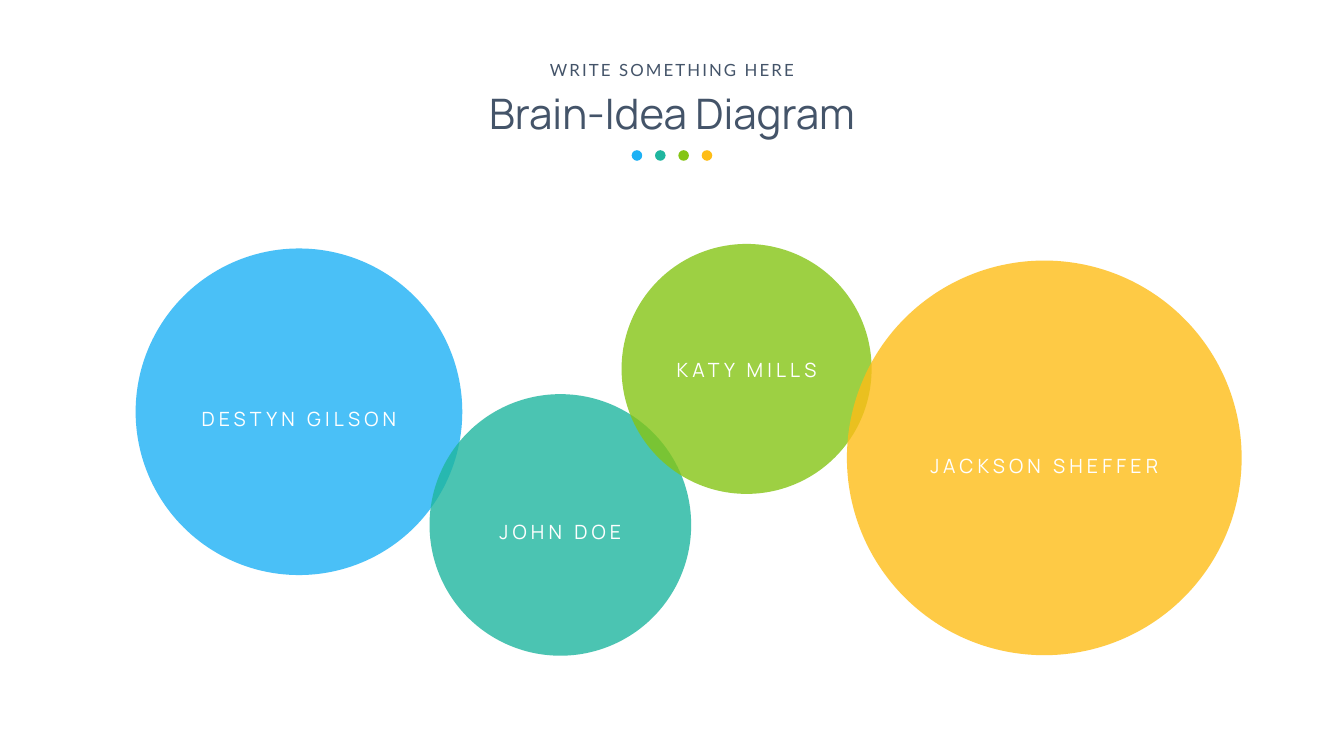
from typing import NamedTuple

from lxml.etree import SubElement
from pptx import Presentation
from pptx.dml.color import RGBColor
from pptx.enum.shapes import MSO_SHAPE
from pptx.enum.text import MSO_ANCHOR, PP_ALIGN
from pptx.oxml.ns import qn
from pptx.util import Inches, Pt

BLUE = RGBColor(0x1D, 0xB1, 0xF5)
TEAL = RGBColor(0x1F, 0xB6, 0x9F)
GREEN = RGBColor(0x85, 0xC5, 0x15)
YELLOW = RGBColor(0xFE, 0xBD, 0x17)
SLATE = RGBColor(0x44, 0x54, 0x69)
WHITE = RGBColor(0xFF, 0xFF, 0xFF)

TITLE_FORMAT = {"name": "Manrope", "size": Pt(60)}
SUBTITLE_FORMAT = {"name": "Lato", "size": Pt(24)}
LABEL_FORMAT = {"name": "Manrope", "size": Pt(28)}

DOT_LEFT, DOT_TOP, DOT_SIZE, DOT_PITCH = 12.53, 2.98, 0.21, 0.463
LABEL_HEIGHT = 0.57


class Bubble(NamedTuple):
    name: str
    left: float
    top: float
    diameter: float
    color: RGBColor
    label_top: float
    label_width: float


BUBBLES = [
    Bubble("DESTYN GILSON", 2.69, 4.93, 6.48, BLUE, 8.02, 4.27),
    Bubble("JOHN DOE", 8.52, 7.82, 5.19, TEAL, 10.26, 2.86),
    Bubble("KATY MILLS", 12.33, 4.84, 4.96, GREEN, 7.04, 3.16),
    Bubble("JACKSON SHEFFER", 16.8, 5.17, 7.83, YELLOW, 8.96, 5.02),
]


def draw_circle(page, left: float, top: float, diameter: float,
                color: RGBColor, opacity: int = 100) -> None:
    circle = page.shapes.add_shape(MSO_SHAPE.OVAL, Inches(left), Inches(top),
                                   Inches(diameter), Inches(diameter))
    circle.shadow.inherit = False
    circle.line.fill.background()
    circle.fill.solid()
    circle.fill.fore_color.rgb = color
    if opacity < 100:
        color_node = circle.fill._xPr.find(qn("a:solidFill"))[0]
        SubElement(color_node, qn("a:alpha"), val=str(opacity * 1000))


def write_line(box, text: str, font_format: dict, color: RGBColor,
               spacing: int = 0, wrap: bool = False) -> None:
    """Put one centred line in the box; spacing is in points between letters."""
    frame = box.text_frame
    frame.word_wrap = wrap
    frame.vertical_anchor = MSO_ANCHOR.MIDDLE
    para = frame.paragraphs[0]
    para.alignment = PP_ALIGN.CENTER
    span = para.add_run()
    span.text = text
    for attribute, value in font_format.items():
        setattr(span.font, attribute, value)
    span.font.color.rgb = color
    if spacing:
        span.font._element.set("spc", str(spacing * 100))


def add_text_box(page, left: float, top: float, width: float, height: float):
    return page.shapes.add_textbox(Inches(left), Inches(top),
                                   Inches(width), Inches(height))


def draw_heading(page) -> None:
    title = page.shapes.title
    place = {"left": 5.3, "top": 1.68, "width": 16.06, "height": 1.11}
    for attribute, value in place.items():
        setattr(title, attribute, Inches(value))
    write_line(title, "Brain-Idea Diagram", TITLE_FORMAT, SLATE, wrap=True)
    subtitle = add_text_box(page, 10.76, 1.13, 5.14, 0.5)
    write_line(subtitle, "WRITE SOMETHING HERE", SUBTITLE_FORMAT, SLATE, spacing=3)
    for index, bubble in enumerate(BUBBLES):
        draw_circle(page, DOT_LEFT + index * DOT_PITCH, DOT_TOP, DOT_SIZE, bubble.color)


def draw_label(page, bubble: Bubble) -> None:
    left = bubble.left + (bubble.diameter - bubble.label_width) / 2
    box = add_text_box(page, left, bubble.label_top, bubble.label_width, LABEL_HEIGHT)
    write_line(box, bubble.name, LABEL_FORMAT, WHITE, spacing=6)


def main() -> None:
    deck = Presentation()
    deck.slide_width, deck.slide_height = Inches(26.66), Inches(15)
    page = deck.slides.add_slide(deck.slide_layouts.get_by_name("Title Only"))
    draw_heading(page)
    for bubble in BUBBLES:
        draw_circle(page, bubble.left, bubble.top, bubble.diameter, bubble.color, opacity=80)
    for bubble in BUBBLES:
        draw_label(page, bubble)
    deck.save("out.pptx")


if __name__ == "__main__":
    main()
